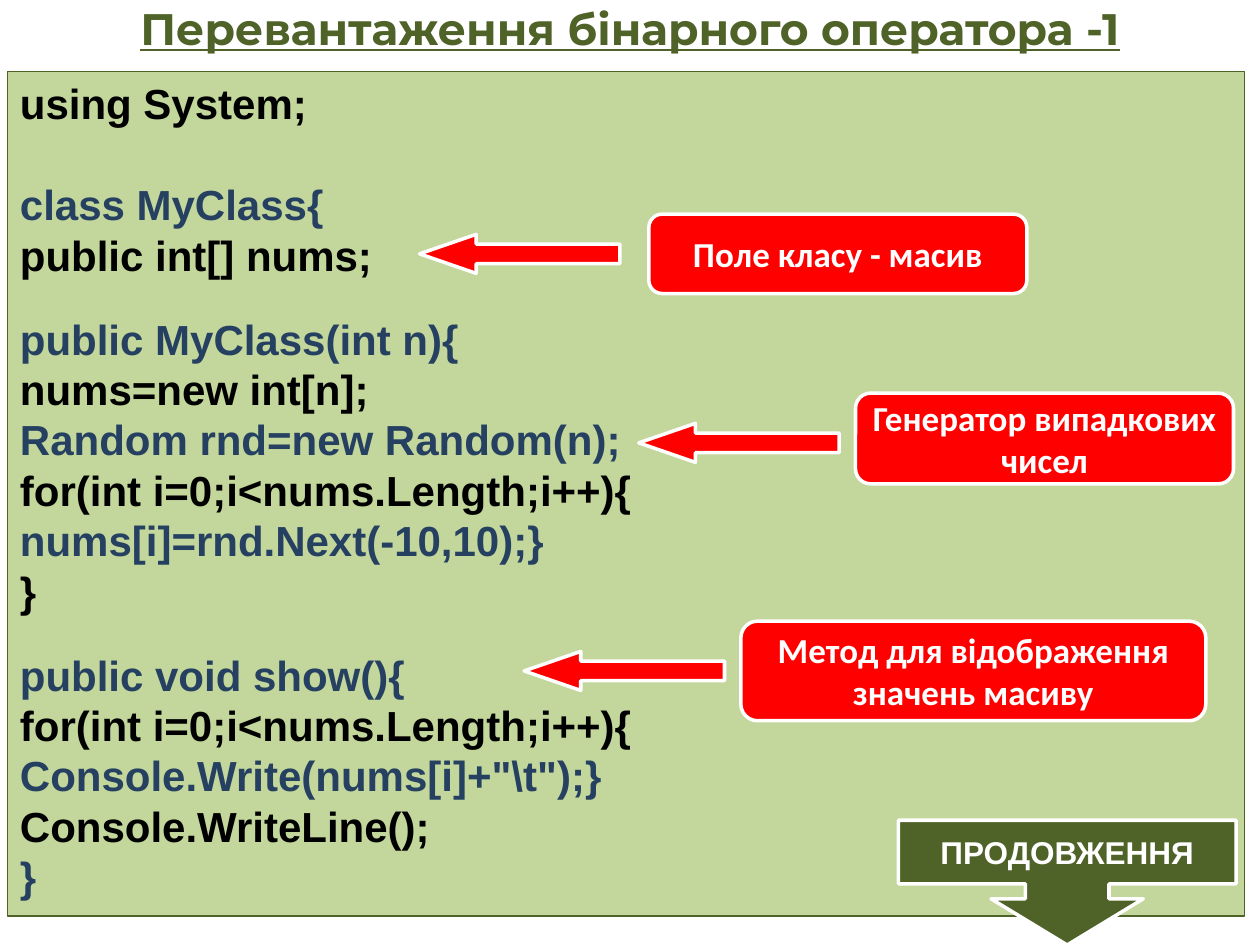
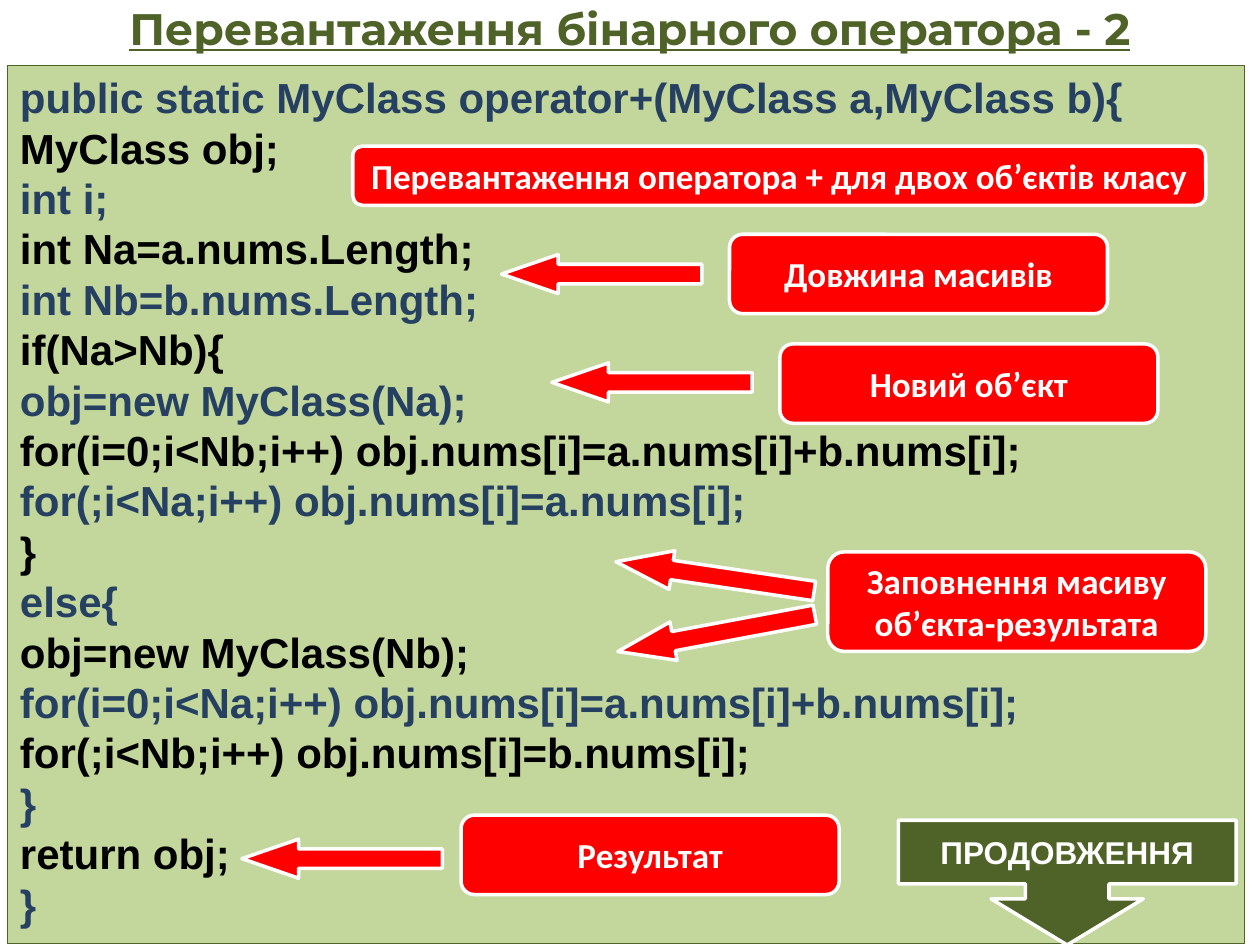
from pptx import Presentation
from pptx.dml.color import RGBColor
from pptx.enum.shapes import MSO_SHAPE as Shape
from pptx.enum.text import MSO_ANCHOR as Anchor, MSO_AUTO_SIZE as AutoSize, PP_ALIGN as Align
from pptx.util import Inches, Pt

WHITE = RGBColor(0xFF, 0xFF, 0xFF)
BLACK = RGBColor(0x00, 0x00, 0x00)
NAVY = RGBColor(0x25, 0x40, 0x61)
RED = RGBColor(0xFF, 0x00, 0x00)
OLIVE = RGBColor(0x4F, 0x62, 0x28)
LIGHT_GREEN = RGBColor(0xC3, 0xD6, 0x9B)

LINE_PITCH = 28.8
ARROW_SIZE = (1.59, 0.31)
CONTINUE_BOX = (7.13, 6.51, 2.68, 0.99)

SLIDES = [
    {
        "title": "Перевантаження бінарного оператора -1",
        "panel": (0.06, 0.57, 9.82, 6.7),
        "line_colors": (BLACK, NAVY),
        "code": [
            "using System;",
            "class MyClass{",
            "public int[] nums;",
            "public MyClass(int n){",
            "nums=new int[n];",
            "Random rnd=new Random(n);",
            "for(int i=0;i<nums.Length;i++){",
            "nums[i]=rnd.Next(-10,10);}",
            "}",
            "public void show(){",
            "for(int i=0;i<nums.Length;i++){",
            'Console.Write(nums[i]+"\\t");}',
            "Console.WriteLine();",
            "}",
        ],
        "gaps": {1: 28.8, 3: 19.2, 9: 19.2},
        "arrows": [(3.33, 1.86, 0), (5.07, 3.36, 0), (4.16, 5.17, 0)],
        "labels": [
            ("Поле класу - масив", (5.15, 1.7, 3, 0.63)),
            ("Генератор випадкових чисел", (6.79, 3.12, 3, 0.72)),
            ("Метод для відображення значень масиву", (5.88, 4.93, 3.69, 0.79)),
        ],
    },
    {
        "title": "Перевантаження бінарного оператора - 2",
        "panel": (0.06, 0.52, 9.82, 6.97),
        "line_colors": (NAVY, BLACK),
        "code": [
            "public static MyClass operator+(MyClass a,MyClass b){",
            "MyClass obj;",
            "int i;",
            "int Na=a.nums.Length;",
            "int Nb=b.nums.Length;",
            "if(Na>Nb){",
            "obj=new MyClass(Na);",
            "for(i=0;i<Nb;i++) obj.nums[i]=a.nums[i]+b.nums[i];",
            "for(;i<Na;i++) obj.nums[i]=a.nums[i];",
            "}",
            "else{",
            "obj=new MyClass(Nb);",
            "for(i=0;i<Na;i++) obj.nums[i]=a.nums[i]+b.nums[i];",
            "for(;i<Nb;i++) obj.nums[i]=b.nums[i];",
            "}",
            "return obj;",
            "}",
        ],
        "gaps": {},
        "arrows": [
            (3.98, 2.02, 0),
            (4.38, 2.88, 0),
            (4.88, 4.42, 8.4),
            (4.89, 4.87, 349.4),
            (1.92, 6.66, 0),
        ],
        "labels": [
            ("Перевантаження оператора + для двох об’єктів класу", (2.8, 1.16, 6.77, 0.47)),
            ("Довжина масивів", (5.79, 1.86, 3, 0.63)),
            ("Новий об’єкт", (6.19, 2.73, 3, 0.63)),
            ("Заповнення масиву об’єкта-результата", (6.57, 4.38, 3, 0.79)),
            ("Результат", (3.66, 6.47, 3, 0.63)),
        ],
    },
]


def format_font(font, name, size, color):
    font.name = name
    font.size = Pt(size)
    font.bold = True
    font.color.rgb = color


def add_box(slide, kind, box, fill, line=WHITE, line_width=2, adjustments=()):
    shape = slide.shapes.add_shape(kind, *map(Inches, box))
    shape.shadow.inherit = False
    shape.fill.solid()
    shape.fill.fore_color.rgb = fill
    shape.line.color.rgb = line
    shape.line.width = Pt(line_width)
    for index, value in enumerate(adjustments):
        shape.adjustments[index] = value
    return shape


def write_centered(shape, text, font_name, size, color=WHITE):
    text_frame = shape.text_frame
    text_frame.text = text
    text_frame.word_wrap = True
    text_frame.auto_size = AutoSize.NONE
    text_frame.vertical_anchor = Anchor.MIDDLE
    paragraph = text_frame.paragraphs[0]
    paragraph.alignment = Align.CENTER
    font = paragraph.runs[0].font
    format_font(font, font_name, size, color)
    return font


def add_title(slide, text):
    title = slide.shapes.title
    title.left, title.top, title.width, title.height = map(Inches, (0, 0, 10, 0.44))
    write_centered(title, text, "Montserrat", 25.2, OLIVE).underline = True


def add_code(slide, content):
    panel = add_box(slide, Shape.RECTANGLE, content["panel"], LIGHT_GREEN, OLIVE, 0.75)
    text_frame = panel.text_frame
    text_frame.word_wrap = True
    text_frame.vertical_anchor = Anchor.TOP
    text_frame.text = "\n".join(content["code"])
    for index, paragraph in enumerate(text_frame.paragraphs):
        paragraph.alignment = Align.LEFT
        paragraph.line_spacing = Pt(LINE_PITCH)
        paragraph.space_before = Pt(content["gaps"].get(index, 0))
        format_font(paragraph.runs[0].font, "Arial", 24, content["line_colors"][index % 2])


def build_slide(presentation, content):
    slide = presentation.slides.add_slide(presentation.slide_layouts[5])
    add_title(slide, content["title"])
    add_code(slide, content)
    for left, top, rotation in content["arrows"]:
        arrow = add_box(slide, Shape.LEFT_ARROW, (left, top, *ARROW_SIZE), RED,
                        adjustments=(0.5, 1.45))
        arrow.rotation = rotation
    for text, box in content["labels"]:
        label = add_box(slide, Shape.ROUNDED_RECTANGLE, box, RED)
        write_centered(label, text, "Calibri", 20)
    callout = add_box(slide, Shape.DOWN_ARROW_CALLOUT, CONTINUE_BOX, OLIVE,
                      adjustments=(0.67, 0.61, 0.37, 0.51))
    write_centered(callout, "ПРОДОВЖЕННЯ", "Arial", 18)


def main():
    presentation = Presentation()
    presentation.slide_width = Inches(10)
    presentation.slide_height = Inches(7.5)
    for content in SLIDES:
        build_slide(presentation, content)
    presentation.save("out.pptx")


if __name__ == "__main__":
    main()
